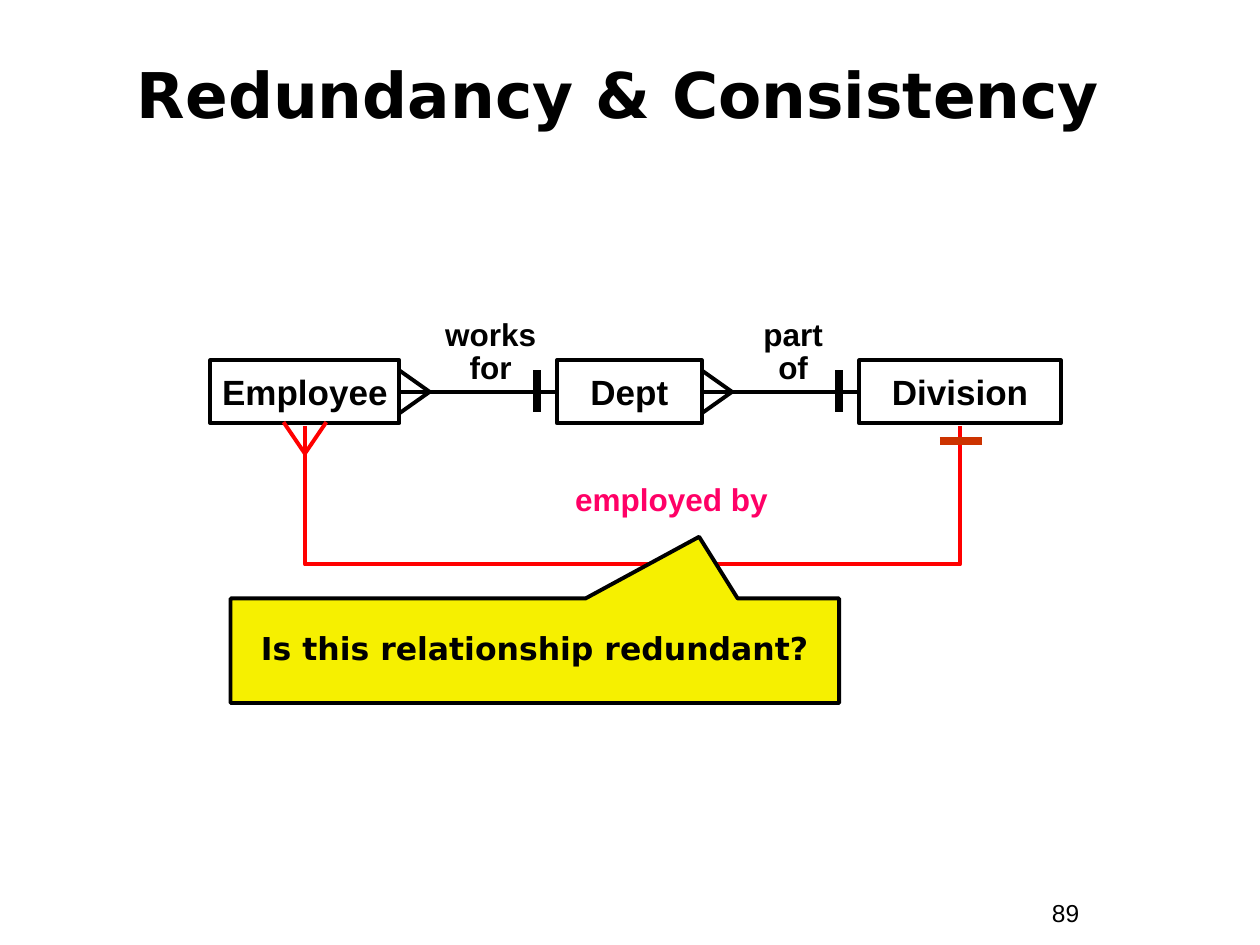
import pptx
import pptx.util
import pptx.dml.color
import pptx.enum.shapes
import pptx.enum.text
import pptx.oxml

Inches = pptx.util.Inches
Pt = pptx.util.Pt
RGBColor = pptx.dml.color.RGBColor
Shape = pptx.enum.shapes.MSO_SHAPE
Joint = pptx.enum.shapes.MSO_CONNECTOR
Align = pptx.enum.text.PP_ALIGN
Anchor = pptx.enum.text.MSO_ANCHOR

BLACK = RGBColor(0x00, 0x00, 0x00)
RED = RGBColor(0xFF, 0x00, 0x00)
RUST = RGBColor(0xCC, 0x33, 0x00)
PINK = RGBColor(0xFF, 0x00, 0x66)
YELLOW = RGBColor(0xF6, 0xF0, 0x00)
SANS = "Arial"
WIDE = "DejaVu Sans"
EFFECT = '<a:effectLst xmlns:a="http://schemas.openxmlformats.org/drawingml/2006/main"/>'


def write(shape, lines, size, font=SANS, color=BLACK, bold=True,
          align=Align.CENTER, anchor=Anchor.TOP, space=None, wrap=True):
    frame = shape.text_frame
    frame.word_wrap = wrap
    frame.vertical_anchor = anchor
    para = frame.paragraphs[0]
    para.alignment = align
    para.line_spacing = space
    for index, line in enumerate(lines):
        if index:
            para.add_line_break()
        run = para.add_run()
        run.text = line
        run.font.name = font
        run.font.size = Pt(size)
        run.font.bold = bold
        run.font.color.rgb = color


def label(slide, x, y, w, h, lines, size, **style):
    box = slide.shapes.add_textbox(Inches(x), Inches(y), Inches(w), Inches(h))
    write(box, lines, size, **style)


def stroke(slide, x1, y1, x2, y2, color=BLACK, width=2.25):
    line = slide.shapes.add_connector(
        Joint.STRAIGHT, Inches(x1), Inches(y1), Inches(x2), Inches(y2))
    line.line.color.rgb = color
    line.line.width = Pt(width)
    line._element.spPr.append(pptx.oxml.parse_xml(EFFECT))


def outline(shape, color=BLACK, fill=None):
    shape.shadow.inherit = False
    shape.line.color.rgb = color
    shape.line.width = Pt(2.25)
    if fill is None:
        shape.fill.background()
    else:
        shape.fill.solid()
        shape.fill.fore_color.rgb = fill


def entity(slide, x, y, w, h, name):
    box = slide.shapes.add_shape(
        Shape.RECTANGLE, Inches(x), Inches(y), Inches(w), Inches(h))
    outline(box)
    write(box, [name], 20, anchor=Anchor.MIDDLE, wrap=False)


def link(slide, x, y, w, h, lines):
    mid = y + h / 2
    stroke(slide, x, mid, x + w, mid)
    for side in (-0.17, 0.17):
        stroke(slide, x + 0.24, mid, x, mid + side)
    label(slide, x - 0.11, y - 0.36, 1.67, 0.61, lines, 18, space=0.85)
    bar = x + w - 0.16
    stroke(slide, bar, mid - 0.17, bar, mid + 0.16, width=4.5)


def loop(slide, x, y, w, h):
    path = slide.shapes.build_freeform(Inches(x + w), Inches(y))
    path.add_line_segments(
        [(Inches(x + w), Inches(y + h)), (Inches(x), Inches(y + h)),
         (Inches(x), Inches(y))], close=False)
    outline(path.convert_to_shape(), RED)
    for side in (0.17, -0.17):
        stroke(slide, x, y + 0.22, x + side, y - 0.03, RED)
    label(slide, x + 1.91, y + 0.43, 2, 0.36, ["employed by"], 18,
          color=PINK, space=0.85)
    stroke(slide, x + w - 0.16, y + 0.12, x + w + 0.17, y + 0.12, RUST, 4.5)


def callout(slide, x, y, w, h):
    box = slide.shapes.add_shape(
        Shape.RECTANGULAR_CALLOUT, Inches(x), Inches(y), Inches(w), Inches(h))
    box.adjustments[0] = 0.27
    box.adjustments[1] = -1.09
    outline(box, fill=YELLOW)
    write(box, ["Is this relationship redundant?"], 18, font=WIDE,
          anchor=Anchor.MIDDLE, space=0.9)


def model(slide, x, y, h):
    gap = 1.25
    parts = [("Employee", 1.5, ["works", "for"]),
             ("Dept", 1.15, ["part", "of"]),
             ("Division", 1.6, None)]
    left = x
    for name, w, verb in parts:
        entity(slide, left, y, w, h, name)
        if verb:
            link(slide, left + w, y, gap, h, verb)
        left += w + gap
    loop(slide, x + 0.75, y + h + 0.02, 5.2, 1.1)


def main():
    deck = pptx.Presentation()
    deck.slide_width = Inches(10)
    deck.slide_height = Inches(7.5)
    slide = deck.slides.add_slide(deck.slide_layouts[6])
    label(slide, 8.25, 7.08, 0.92, 0.34, ["89"], 14, bold=False,
          align=Align.LEFT)
    label(slide, 0.33, 0.33, 9.33, 0.92, ["Redundancy & Consistency "], 36,
          font=WIDE, anchor=Anchor.MIDDLE, space=0.85)
    model(slide, 1.67, 2.86, 0.5)
    callout(slide, 1.83, 4.75, 4.83, 0.83)
    deck.save("out.pptx")


if __name__ == "__main__":
    main()
